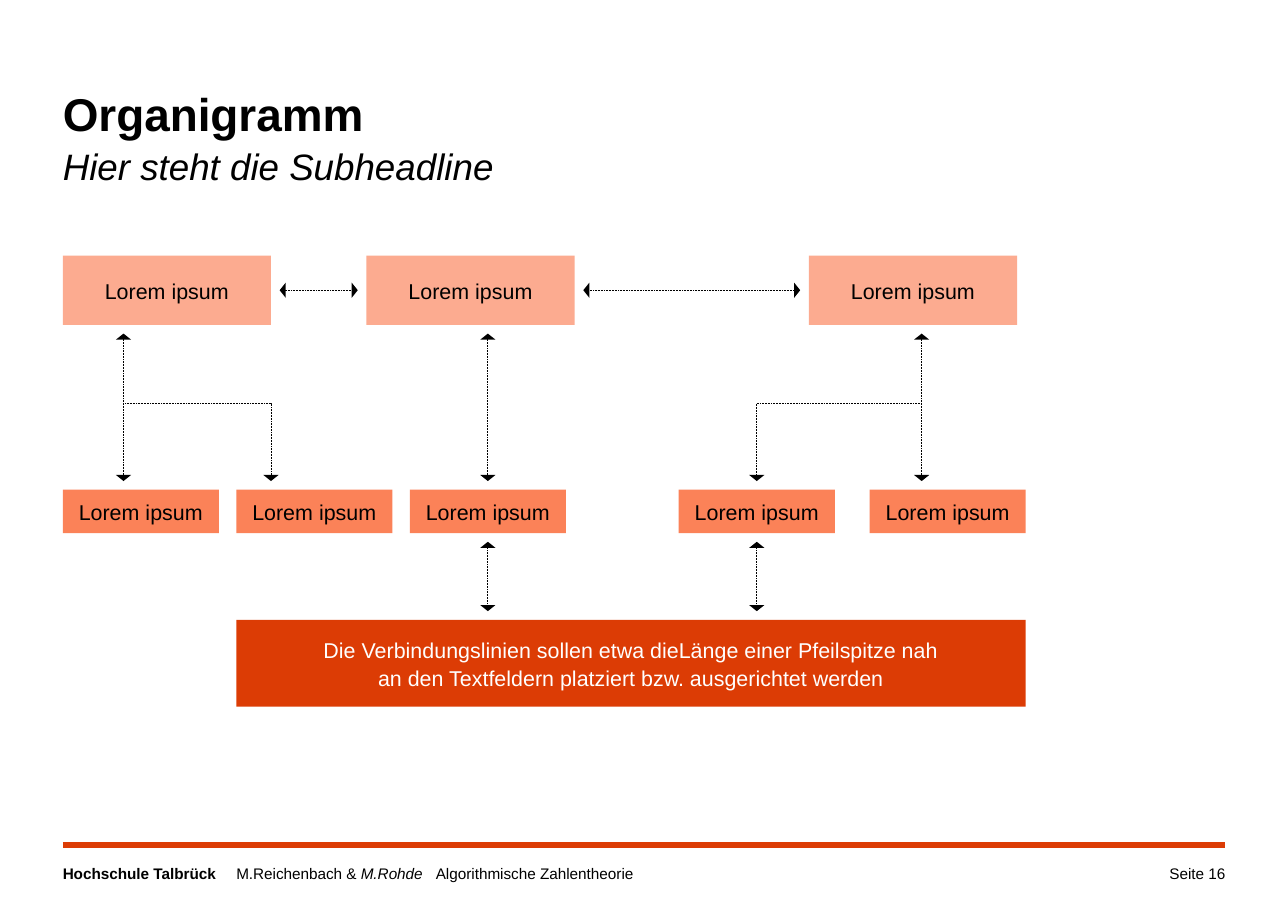
from lxml.etree import SubElement
from pptx import Presentation
from pptx.dml.color import RGBColor
from pptx.enum.dml import MSO_LINE
from pptx.enum.shapes import MSO_CONNECTOR, MSO_SHAPE
from pptx.enum.text import MSO_ANCHOR, PP_ALIGN
from pptx.oxml.ns import qn
from pptx.util import Inches, Mm, Pt

BLACK = RGBColor(0x00, 0x00, 0x00)
WHITE = RGBColor(0xFF, 0xFF, 0xFF)
SALMON = RGBColor(0xFC, 0xAB, 0x90)
CORAL = RGBColor(0xFB, 0x82, 0x58)
ORANGE = RGBColor(0xDC, 0x3C, 0x05)


class OrgChart:
    """Draws on a slide with a 2 mm grid whose origin is the chart's top left corner."""

    font = "Arial"
    unit = Mm(2)
    left, top = Inches(0.57), Inches(2.32)
    spacing = 1.07

    def __init__(self, prs):
        self.shapes = prs.slides.add_slide(prs.slide_layouts[6]).shapes

    def point(self, col, row):
        return self.left + round(col * self.unit), self.top + round(row * self.unit)

    def area(self, col, row, cols, rows):
        return *self.point(col, row), round(cols * self.unit), round(rows * self.unit)

    def style_run(self, r, size, color=BLACK, bold=False, italic=False):
        r.font.name, r.font.size = self.font, Pt(size)
        r.font.color.rgb = color
        r.font.bold, r.font.italic = bold, italic

    def style_frame(self, tf, align, anchor, wrap):
        tf.margin_left = tf.margin_right = tf.margin_top = tf.margin_bottom = 0
        tf.word_wrap, tf.vertical_anchor = wrap, anchor
        for p in tf.paragraphs:
            p.alignment, p.line_spacing = align, self.spacing

    def text(self, area, runs, align=PP_ALIGN.LEFT, tabs=()):
        tf = self.shapes.add_textbox(*self.area(*area)).text_frame
        p = tf.paragraphs[0]
        for words, size, bold, italic in runs:
            if words == "\v":
                p.add_line_break()
                continue
            r = p.add_run()
            r.text = words
            self.style_run(r, size, bold=bold, italic=italic)
        self.style_frame(tf, align, MSO_ANCHOR.TOP, True)
        if tabs:
            stops = SubElement(p._p.get_or_add_pPr(), qn("a:tabLst"))
            for col in tabs:
                SubElement(stops, qn("a:tab"), pos=str(col * self.unit), algn="l")

    def box(self, area, words, fill, color=BLACK):
        sp = self.shapes.add_shape(MSO_SHAPE.RECTANGLE, *self.area(*area))
        sp.shadow.inherit = False
        sp.fill.solid()
        sp.fill.fore_color.rgb = fill
        sp.line.fill.background()
        tf = sp.text_frame
        tf.text = words
        self.style_frame(tf, PP_ALIGN.CENTER, MSO_ANCHOR.MIDDLE, False)
        for p in tf.paragraphs:
            for r in p.runs:
                self.style_run(r, 14, color)

    def dotted(self, line, *ends):
        line.color.rgb, line.width = BLACK, Pt(0.5)
        line.dash_style = MSO_LINE.ROUND_DOT
        for end in ends:
            SubElement(line._get_or_add_ln(), qn(f"a:{end}"), type="triangle", w="lg", len="sm")

    def connector(self, start, end):
        cx = self.shapes.add_connector(
            MSO_CONNECTOR.STRAIGHT, *self.point(*start), *self.point(*end))
        SubElement(cx._element.spPr, qn("a:effectLst"))
        return cx

    def rule(self, row, cols):
        line = self.connector((0, row), (cols, row)).line
        line.color.rgb, line.width = ORANGE, Pt(4)

    def arrow(self, start, end):
        self.dotted(self.connector(start, end).line, "headEnd", "tailEnd")

    def elbow(self, start, corner, end):
        builder = self.shapes.build_freeform(*self.point(*start), scale=1.0)
        builder.add_line_segments([self.point(*corner), self.point(*end)], close=False)
        sp = builder.convert_to_shape()
        sp.shadow.inherit = False
        sp.fill.background()
        self.dotted(sp.line, "tailEnd")


def main():
    prs = Presentation()
    prs.slide_width, prs.slide_height = Inches(11.69), Inches(8.27)
    chart = OrgChart(prs)

    chart.text((0, 70, 107, 3), [
        ("Hochschule Talbrück\t", 10, True, False),
        ("M.Reichenbach & ", 10, False, False),
        ("M.Rohde\t", 10, False, True),
        ("Algorithmische Zahlentheorie", 10, False, False),
    ], tabs=(20, 43))
    chart.rule(68, 134)
    chart.text((117, 70, 17, 3), [("Seite 16", 10, False, False)], PP_ALIGN.RIGHT)
    chart.text((0, -20, 134, 13), [
        ("Organigramm", 30, True, False),
        ("\v", 30, False, False),
        ("Hier steht die Subheadline", 24, False, True),
    ])

    for col in (0, 35, 86):
        chart.box((col, 0, 24, 8), "Lorem ipsum", SALMON)
    for col in (0, 20, 40, 71, 93):
        chart.box((col, 27, 18, 5), "Lorem ipsum", CORAL)
    chart.box((20, 42, 91, 10),
              "Die Verbindungslinien sollen etwa dieLänge einer Pfeilspitze nah\n"
              "an den Textfeldern platziert bzw. ausgerichtet werden", ORANGE, WHITE)

    for start, end in ((25, 34), (60, 85)):
        chart.arrow((start, 4), (end, 4))
    for col in (7, 49, 99):
        chart.arrow((col, 9), (col, 26))
    for col in (49, 80):
        chart.arrow((col, 33), (col, 41))
    for start, end in ((7, 24), (99, 80)):
        chart.elbow((start, 17), (end, 17), (end, 26))

    prs.save("out.pptx")


if __name__ == "__main__":
    main()
